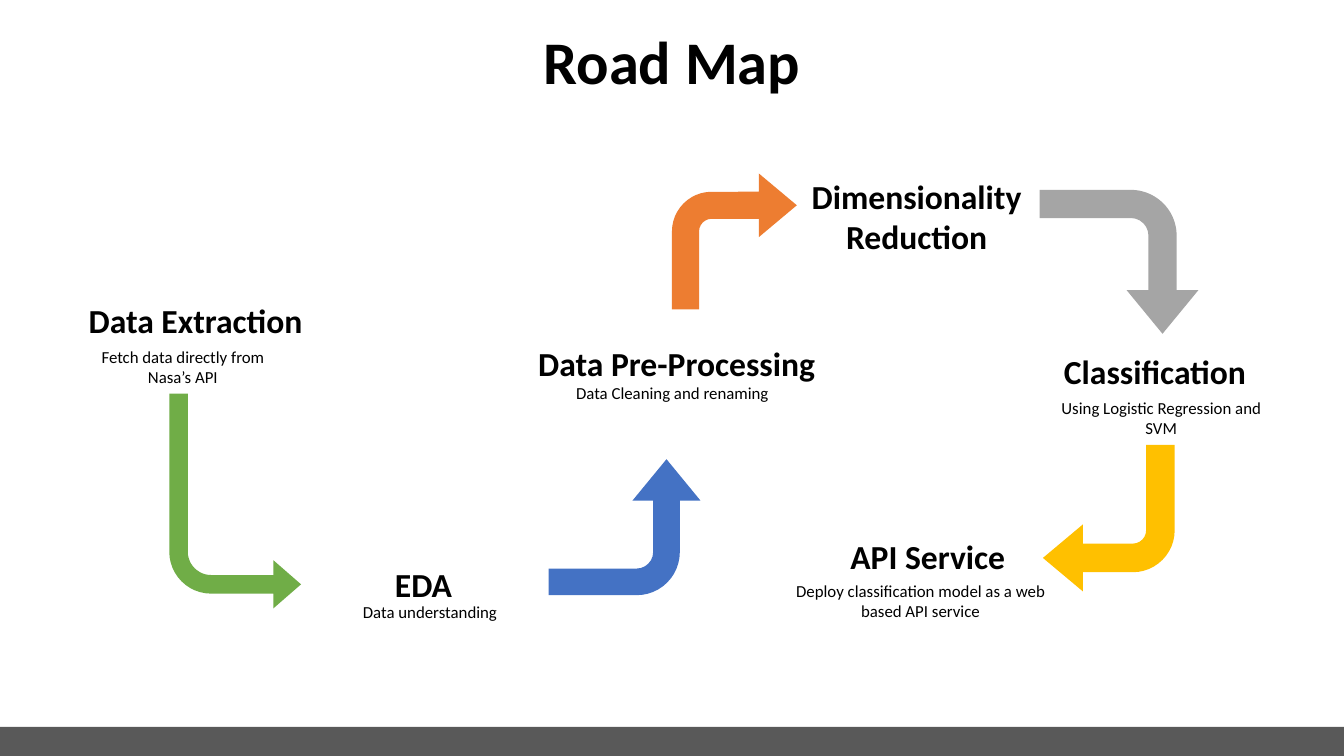
import pptx
import pptx.dml.color
import pptx.enum.shapes
import pptx.enum.text
import pptx.util

Cm = pptx.util.Cm
Pt = pptx.util.Pt
Shape = pptx.enum.shapes.MSO_SHAPE
Text = pptx.enum.text


def color(code):
    return pptx.dml.color.RGBColor.from_string(code)


class Board:
    font = "Calibri"
    ink = "000000"

    def __init__(self, deck):
        self.slide = deck.slides.add_slide(deck.slide_layouts[5])

    def style(self, frame, text, size, bold):
        frame.text = text
        frame.word_wrap = True
        frame.auto_size = Text.MSO_AUTO_SIZE.NONE
        para = frame.paragraphs[0]
        para.alignment = Text.PP_ALIGN.CENTER
        for run in para.runs:
            run.font.name = self.font
            run.font.size = Pt(size)
            run.font.bold = bold
            run.font.color.rgb = color(self.ink)

    def title(self, text, box):
        shape = self.slide.shapes.title
        shape.left, shape.top, shape.width, shape.height = map(Cm, box)
        frame = shape.text_frame
        self.style(frame, text, 32.4, True)
        frame.vertical_anchor = Text.MSO_ANCHOR.MIDDLE
        frame.paragraphs[0].line_spacing = 0.9

    def label(self, text, box, size, bold=False):
        shape = self.slide.shapes.add_textbox(*map(Cm, box))
        self.style(shape.text_frame, text, size, bold)

    def solid(self, kind, box, fill):
        shape = self.slide.shapes.add_shape(kind, *map(Cm, box))
        shape.shadow.inherit = False
        shape.fill.solid()
        shape.fill.fore_color.rgb = color(fill)
        shape.line.fill.background()
        return shape

    def arrow(self, box, fill, turn, flip, bend):
        """Draw a bent arrow; bend holds shaft, head width and head length."""
        shape = self.solid(Shape.BENT_ARROW, box, fill)
        shape.rotation = turn
        for i, value in enumerate((*bend, 0.318)):
            shape.adjustments[i] = value
        if flip:
            shape._element.spPr.xfrm.set("flipH", "1")


HEADS = [
    ("Data Extraction ", (1.27, 5.54, 5, 1.02)),
    ("EDA ", (7.11, 10.54, 1.93, 1.02)),
    ("Data Pre-Processing", (9.78, 6.35, 6.02, 1.8)),
    ("Dimensionality Reduction", (15.04, 3.2, 4.57, 1.8)),
    ("Classification", (19.53, 6.5, 4.6, 1.02)),
    ("API Service", (15.54, 10.01, 3.99, 1.02)),
]

NOTES = [
    ("Fetch data directly from Nasa’s API", (1.27, 6.43, 4.37, 1.02)),
    ("Data understanding", (5.94, 11.25, 4.37, 0.64)),
    ("Data Cleaning and renaming", (10.52, 7.11, 4.37, 0.64)),
    ("Using Logistic Regression and SVM", (19.76, 7.39, 4.37, 1.02)),
    ("Deploy classification model as a web based API service",
     (14.73, 10.85, 5.33, 1.02)),
]

SLIM = (0.141, 0.183, 0.21)
WIDE = (0.196, 0.25, 0.304)
BOLD = (0.217, 0.255, 0.304)
ARROWS = [
    ((3.2, 7.44, 2.49, 4.06), "70AD47", 180, True, SLIM),
    ((10.52, 8.53, 2.57, 2.87), "4472C4", 90, True, WIDE),
    ((12.7, 3.28, 2.36, 2.57), "ED7D31", 0, False, BOLD),
    ((19.79, 3.45, 2.72, 3), "A5A5A5", 90, False, WIDE),
    ((19.71, 8.41, 2.49, 2.77), "FFC000", 180, False, BOLD),
]


def main():
    deck = pptx.Presentation()
    deck.slide_width, deck.slide_height = Cm(25.4), Cm(14.29)
    board = Board(deck)
    board.solid(Shape.RECTANGLE, (0, 13.74, 25.4, 0.55), "595959")
    board.title("Road Map", (0, 0.41, 25.4, 1.63))
    for text, box in HEADS:
        board.label(text, box, 18, True)
    for arrow in ARROWS:
        board.arrow(*arrow)
    for text, box in NOTES:
        board.label(text, box, 9)
    deck.save("out.pptx")


if __name__ == "__main__":
    main()
